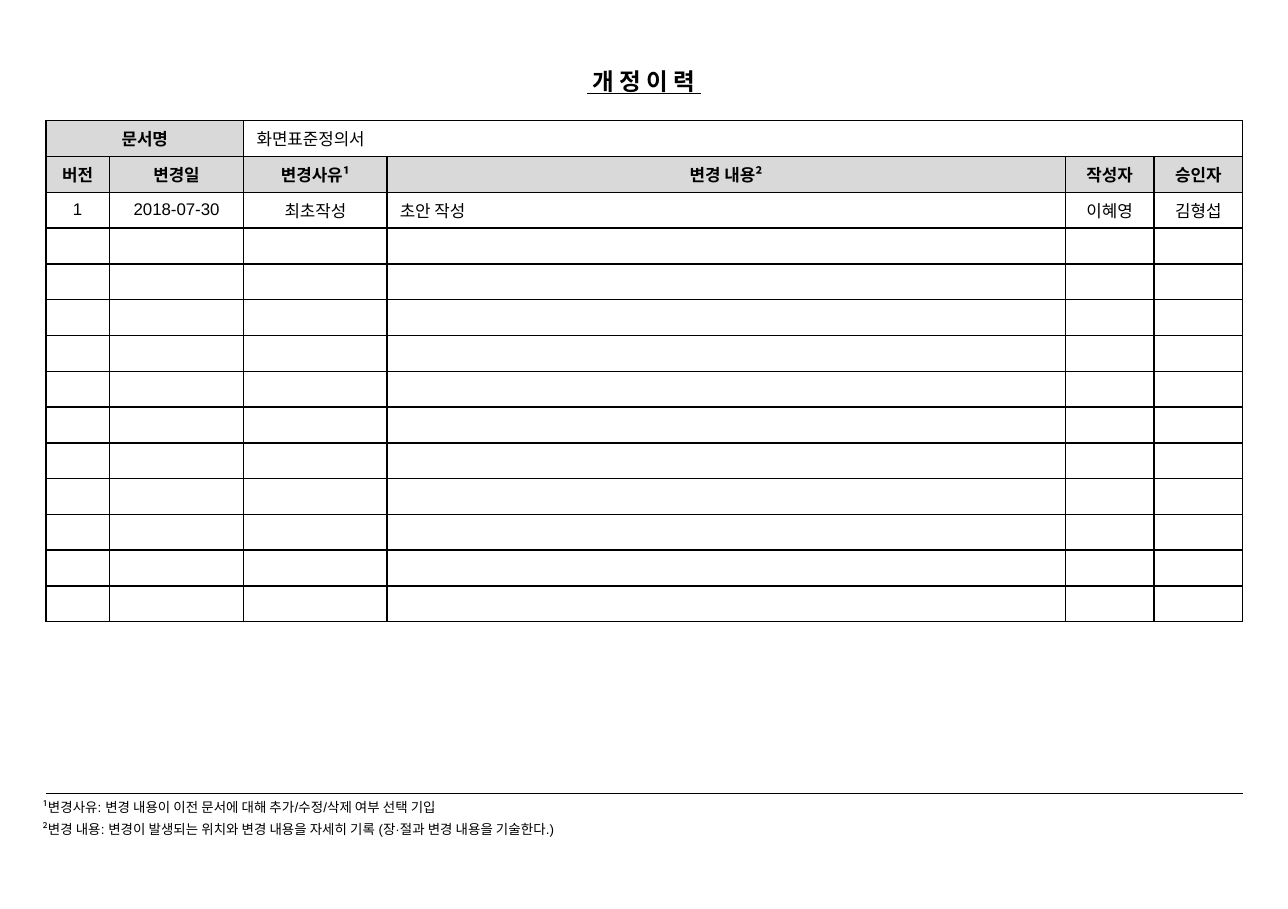
"""Build the revision history slide."""
from lxml.etree import SubElement as Sub
from pptx import Presentation
from pptx.dml.color import RGBColor
from pptx.enum.shapes import MSO_CONNECTOR as Conn
from pptx.enum.text import MSO_ANCHOR as Anchor, MSO_AUTO_SIZE as Auto, PP_ALIGN as Align
from pptx.oxml.ns import qn
from pptx.util import Cm, Pt

BLACK = RGBColor(0, 0, 0)
GREY = RGBColor(0xD9, 0xD9, 0xD9)
LEFT = 0.96
WIDTHS = [1.33, 2.82, 3, 14.22, 1.86, 1.86]
ROWS = 14
HIGH = 0.75
HEADS = ["버전", "변경일", "변경사유¹", "변경 내용²", "작성자", "승인자"]
FIRST = ["1", "2018-07-30", "최초작성", "초안 작성", "이혜영", "김형섭"]
NOTES = [
    "¹변경사유: 변경 내용이 이전 문서에 대해 추가/수정/삭제 여부 선택 기입",
    "²변경 내용: 변경이 발생되는 위치와 변경 내용을 자세히 기록 (장·절과 변경 내용을 기술한다.)",
]


def write(para, text, size, bold=False, align=Align.LEFT):
    para.alignment = align
    run = para.add_run()
    run.text = text
    font = run.font
    font.name, font.size, font.bold = "Arial", Pt(size), bold
    font.color.rgb = BLACK
    return run


def frame(cell):
    props = cell._tc.get_or_add_tcPr()
    for spot, side in enumerate(("lnL", "lnR", "lnT", "lnB")):
        line = props.makeelement(qn("a:" + side), {"w": str(Pt(1))})
        fill = Sub(line, qn("a:solidFill"))
        Sub(fill, qn("a:srgbClr"), val=str(BLACK))
        props.insert(spot, line)


deck = Presentation()
deck.slide_width, deck.slide_height = Cm(27), Cm(19.05)
slide = deck.slides.add_slide(deck.slide_layouts[6])
shapes = slide.shapes

title = shapes.add_textbox(Cm(11.81), Cm(1.27), Cm(3.38), Cm(0.86)).text_frame
title.word_wrap = False
title.auto_size = Auto.SHAPE_TO_FIT_TEXT
write(title.paragraphs[0], " 개 정 이 력 ", 14, True, Align.CENTER).font.underline = True

wide = sum(WIDTHS)
table = shapes.add_table(ROWS, len(WIDTHS), Cm(LEFT), Cm(2.53), Cm(wide), Cm(ROWS * HIGH)).table
table.first_row = table.horz_banding = False
for col, width in zip(table.columns, WIDTHS):
    col.width = Cm(width)

texts = {(0, 0): "문서명", (0, 2): "화면표준정의서"}
for row, words in enumerate((HEADS, FIRST), 1):
    texts.update({(row, col): word for col, word in enumerate(words)})

for row in range(ROWS):
    table.rows[row].height = Cm(HIGH)
    for col in range(len(WIDTHS)):
        cell = table.cell(row, col)
        cell.vertical_anchor = Anchor.MIDDLE
        cell.margin_left = cell.margin_right = Cm(0.27)
        cell.margin_top = cell.margin_bottom = Cm(0.12)
        head = row == 1 or (row == 0 and col < 2)
        if head:
            cell.fill.solid()
            cell.fill.fore_color.rgb = GREY
        else:
            cell.fill.background()
        frame(cell)
        para = cell.text_frame.paragraphs[0]
        if (row, col) in texts:
            left = (row, col) in ((0, 2), (2, 3))
            write(para, texts[row, col], 10, head, Align.LEFT if left else Align.CENTER)
        else:
            Sub(para._p, qn("a:endParaRPr"), sz="1000")
table.cell(0, 0).merge(table.cell(0, 1))
table.cell(0, 2).merge(table.cell(0, 5))

rule = shapes.add_connector(Conn.STRAIGHT, Cm(LEFT), Cm(16.63), Cm(LEFT + wide), Cm(16.63))
rule.line.color.rgb = BLACK
rule.line.width = Pt(0.75)
Sub(rule._element.spPr, qn("a:effectLst"))

foot = shapes.add_textbox(Cm(0.64), Cm(16.63), Cm(13.51), Cm(1.04)).text_frame
foot.word_wrap = True
foot.auto_size = Auto.SHAPE_TO_FIT_TEXT
for spot, note in enumerate(NOTES):
    para = foot.add_paragraph() if spot else foot.paragraphs[0]
    para.space_before = Pt(3)
    write(para, note, 8)

deck.save("out.pptx")
